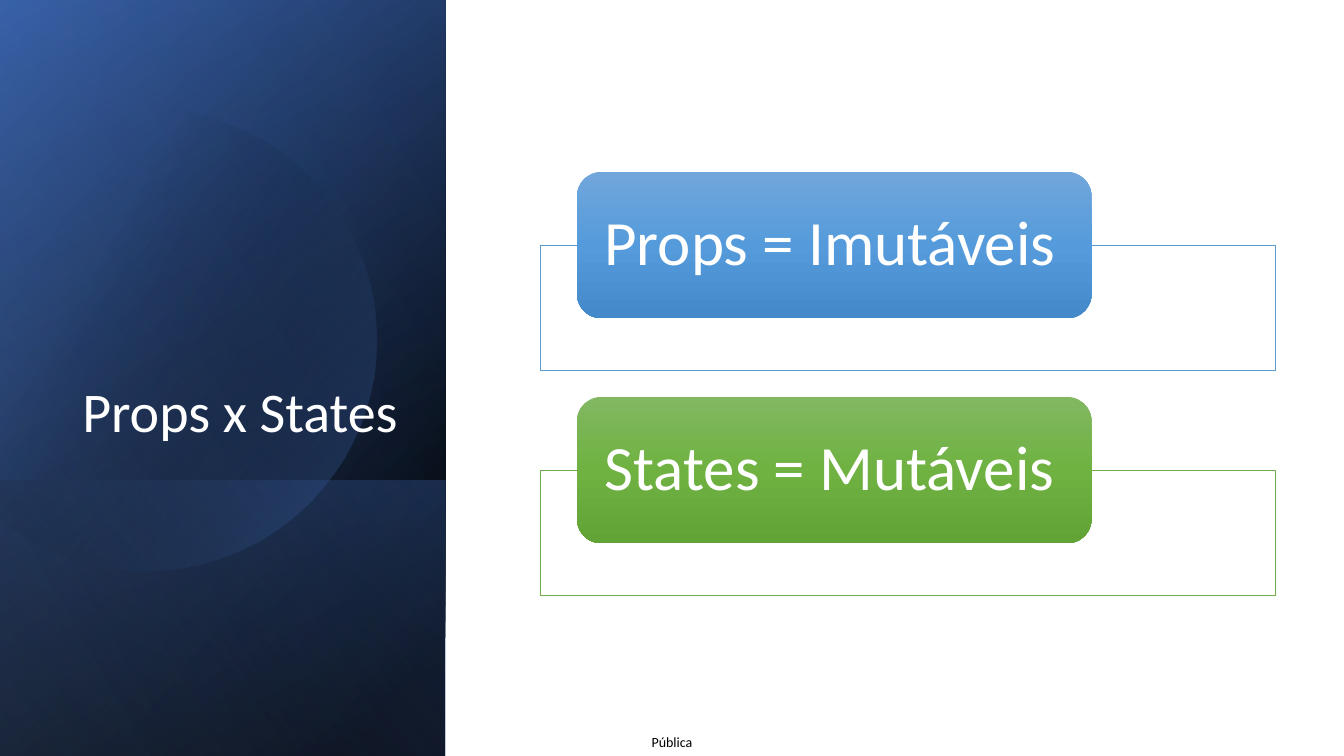
from math import cos, radians

from lxml.etree import SubElement
from pptx import Presentation
from pptx.dml.color import RGBColor
from pptx.enum.shapes import MSO_SHAPE
from pptx.enum.text import MSO_ANCHOR, PP_ALIGN
from pptx.oxml.ns import qn
from pptx.util import Pt

WHITE = RGBColor(0xFF, 0xFF, 0xFF)
BLACK = RGBColor(0x00, 0x00, 0x00)
NAVY = RGBColor(0x2F, 0x55, 0x97)
BLUE = RGBColor(0x44, 0x72, 0xC4)
PALE_BLUE = RGBColor(0x8F, 0xAA, 0xDC)
PROPS_LINE = RGBColor(0x5B, 0x9B, 0xD5)
PROPS_SHADES = [RGBColor(0x71, 0xA6, 0xDB), RGBColor(0x55, 0x9B, 0xDB), RGBColor(0x44, 0x8A, 0xCA)]
STATES_LINE = RGBColor(0x70, 0xAD, 0x47)
STATES_SHADES = [RGBColor(0x81, 0xB8, 0x61), RGBColor(0x6F, 0xB2, 0x42), RGBColor(0x62, 0xA3, 0x36)]


def shade(shape, stops, angle):
    """Fill a shape with a linear gradient of (position, colour, opacity) stops."""
    shape.fill.gradient()
    gradient = shape.element.spPr.find(qn("a:gradFill"))
    stop_list = gradient.find(qn("a:gsLst"))
    stop_list.clear()
    for position, colour, opacity in stops:
        stop = SubElement(stop_list, qn("a:gs"), pos=str(position * 1000))
        tint = SubElement(stop, qn("a:srgbClr"), val=str(colour))
        SubElement(tint, qn("a:alpha"), val=str(opacity * 1000))
    gradient.find(qn("a:lin")).set("ang", str(angle * 60000))


def write(shape, text, size, colour, align, anchor, margins=(7.2, 3.6), spacing=0.9):
    """Write one formatted line of text into a shape."""
    frame = shape.text_frame
    side, end = (Pt(margin) for margin in margins)
    settings = {"word_wrap": True, "vertical_anchor": anchor, "margin_left": side,
                "margin_right": side, "margin_top": end, "margin_bottom": end}
    for name, value in settings.items():
        setattr(frame, name, value)
    para = frame.paragraphs[0]
    para.alignment = align
    para.line_spacing = spacing
    span = para.add_run()
    span.text = text
    for name, value in {"name": "Calibri", "size": Pt(size)}.items():
        setattr(span.font, name, value)
    span.font.color.rgb = colour


def add_plain(page, kind, left, top, width, height):
    """Add a preset shape without shadow or outline."""
    shape = page.shapes.add_shape(kind, Pt(left), Pt(top), Pt(width), Pt(height))
    shape.shadow.inherit = False
    shape.line.fill.background()
    return shape


def add_sheet(page, box, stops, angle):
    """Add a mirrored rectangle, turned a quarter, that covers the box."""
    left, top, width, height = box
    shift = (width - height) / 2
    sheet = add_plain(page, MSO_SHAPE.RECTANGLE, left + shift, top - shift, height, width)
    sheet.rotation = 90
    sheet.element.spPr.xfrm.set("flipH", "1")
    shade(sheet, stops, angle)


def add_disc(page, box):
    """Add the translucent disc that the left edge of the box cuts off."""
    left, top = box[0], box[1] + 78.2
    radius, reach = 165, 129
    right, bottom = left + radius * (1 - cos(radians(reach))), top + 2 * radius
    builder = page.shapes.build_freeform(Pt(left), Pt(top + radius * 0.22))
    builder.add_line_segments([(Pt(x), Pt(y)) for x, y in [(left, top), (right, top), (right, bottom)]])
    disc = builder.convert_to_shape()
    outline = next(disc.element.iter(qn("a:path")))
    for segment in outline.findall(qn("a:lnTo")):
        outline.remove(segment)
    SubElement(outline, qn("a:arcTo"), wR=str(Pt(radius)), hR=str(Pt(radius)),
               stAng=str((360 - reach) * 60000), swAng=str(2 * reach * 60000))
    SubElement(outline, qn("a:close"))
    disc.shadow.inherit = False
    disc.line.fill.background()
    shade(disc, [(29, BLACK, 0), (100, BLUE, 43)], 30)


def add_title_panel(page, box, title):
    """Build the dark panel with its layered gradients and the title."""
    left, top, width, height = box
    foot = 197
    add_sheet(page, box, [(8, BLACK, 100), (100, NAVY, 100)], 50)
    add_sheet(page, box, [(0, BLACK, 0), (99, BLUE, 46)], 30)
    add_sheet(page, (left, top + height - foot, width, foot), [(2, BLUE, 29), (100, BLACK, 30)], 130)
    add_disc(page, box)
    add_sheet(page, box, [(0, BLACK, 0), (99, PALE_BLUE, 11)], 120)
    heading = page.shapes.add_textbox(Pt(left + 45.6), Pt(top + 132.5), Pt(245.5), Pt(188.6))
    write(heading, title, 40, WHITE, PP_ALIGN.RIGHT, MSO_ANCHOR.BOTTOM)


def add_card(page, box, text, line_colour, shades):
    """Build an outlined frame with a rounded label over its top edge."""
    left, top, width, height = box
    label_height = 104.6
    frame_top = top + label_height / 2
    frame = add_plain(page, MSO_SHAPE.RECTANGLE, left, frame_top, width, top + height - frame_top)
    frame.fill.solid()
    frame.fill.fore_color.rgb = WHITE
    frame.line.color.rgb = line_colour
    frame.line.width = Pt(0.5)
    label = add_plain(page, MSO_SHAPE.ROUNDED_RECTANGLE, left + width * 0.05, top, width * 0.7, label_height)
    shade(label, [(place, colour, 100) for place, colour in zip((0, 50, 100), shades)], 90)
    write(label, text, 45, WHITE, PP_ALIGN.LEFT, MSO_ANCHOR.MIDDLE, (14.5, 0))


def add_cards(page, box, cards):
    """Stack the cards down the box with equal gaps."""
    left, top, width, height = box
    gap = 19
    card_height = (height - gap * (len(cards) - 1)) / len(cards)
    for index, card in enumerate(cards):
        add_card(page, (left, top + index * (card_height + gap), width, card_height), *card)


def add_footer(page, box, text):
    """Write the centred classification label."""
    footer = page.shapes.add_textbox(*(Pt(length) for length in box))
    write(footer, text, 10, BLACK, PP_ALIGN.CENTER, MSO_ANCHOR.MIDDLE, (0, 0), 1.0)


def main():
    """Build and save the slide."""
    deck = Presentation()
    deck.slide_width, deck.slide_height = Pt(960), Pt(540)
    page = deck.slides.add_slide(deck.slide_layouts[6])
    add_footer(page, (454.8, 519.6, 50.4, 20.4), "Pública")
    add_title_panel(page, (0, 0, 318.2, 540), "Props x States")
    add_cards(page, (385.9, 122.7, 525, 302.6), [
        ("Props = Imutáveis", PROPS_LINE, PROPS_SHADES),
        ("States = Mutáveis", STATES_LINE, STATES_SHADES),
    ])
    deck.save("out.pptx")


if __name__ == "__main__":
    main()
